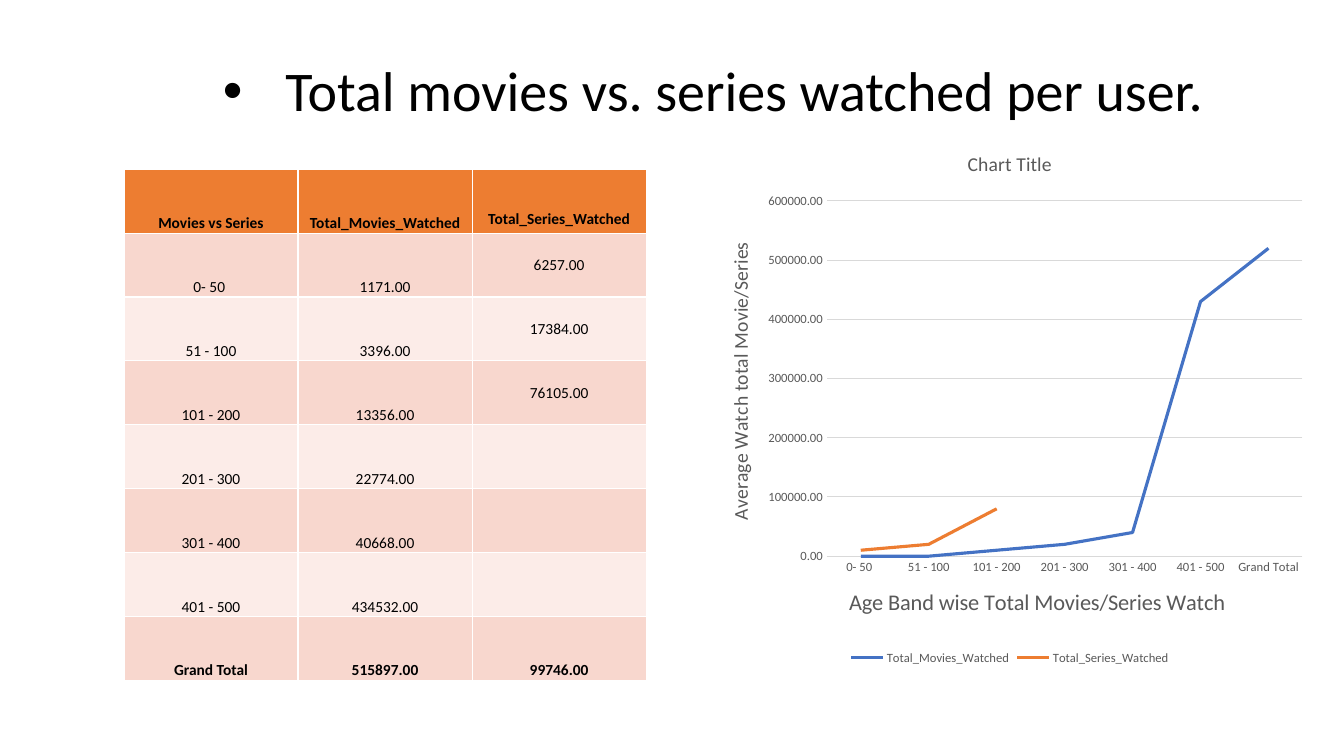
from lxml import etree
from pptx import Presentation
from pptx.chart.data import CategoryChartData
from pptx.dml.color import RGBColor
from pptx.enum.chart import XL_CHART_TYPE, XL_LEGEND_POSITION, XL_TICK_MARK
from pptx.enum.text import MSO_ANCHOR, PP_ALIGN
from pptx.oxml import parse_xml
from pptx.oxml.ns import nsdecls, qn
from pptx.util import Inches, Pt

LINE = XL_CHART_TYPE.LINE
LEGEND_BOTTOM = XL_LEGEND_POSITION.BOTTOM
NO_TICK = XL_TICK_MARK.NONE
CENTER = PP_ALIGN.CENTER
MIDDLE, BOTTOM = MSO_ANCHOR.MIDDLE, MSO_ANCHOR.BOTTOM

BLACK = RGBColor(0x00, 0x00, 0x00)
WHITE = RGBColor(0xFF, 0xFF, 0xFF)
GRAY = RGBColor(0x59, 0x59, 0x59)
GRID = RGBColor(0xD9, 0xD9, 0xD9)
BLUE = RGBColor(0x44, 0x72, 0xC4)
ORANGE = RGBColor(0xED, 0x7D, 0x31)
BAND_DARK = RGBColor(0xF8, 0xD7, 0xCE)
BAND_LIGHT = RGBColor(0xFC, 0xEC, 0xE8)

HEADERS = ("Movies vs Series", "Total_Movies_Watched", "Total_Series_Watched")
ROWS = (
    ("0- 50 ", 1171, 6257),
    ("51 - 100", 3396, 17384),
    ("101 - 200", 13356, 76105),
    ("201 - 300", 22774, None),
    ("301 - 400", 40668, None),
    ("401 - 500", 434532, None),
    ("Grand Total", 515897, 99746),
)


def style_font(font, size, color=BLACK, bold=False):
    font.name, font.size, font.bold = "Calibri", Pt(size), bold
    font.color.rgb = color


def write_text(tf, text, size, color=BLACK, bold=False):
    p = tf.paragraphs[0]
    p.alignment = CENTER
    r = p.add_run()
    r.text = text
    style_font(r.font, size, color, bold)
    return p


class SlideBuilder:
    """Holds the slide and its text sizes, and adds each kind of element."""

    def __init__(self, prs, table_size=11, label_size=9):
        self.s = prs.slides.add_slide(prs.slide_layouts[5])
        self.table_size = table_size
        self.label_size = label_size

    def title(self, text, left, top, width, height):
        sp = self.s.shapes.title
        sp.left, sp.top = Inches(left), Inches(top)
        sp.width, sp.height = Inches(width), Inches(height)
        tf = sp.text_frame
        tf.word_wrap, tf.vertical_anchor = True, MIDDLE
        p = write_text(tf, text, 40)
        p.line_spacing = 0.9
        pPr = p._p.get_or_add_pPr()
        pPr.set("marL", str(Inches(0.62)))
        pPr.set("indent", str(Inches(-0.62)))
        etree.SubElement(pPr, qn("a:buFont")).set("typeface", "Arial")
        etree.SubElement(pPr, qn("a:buChar")).set("char", "•")

    def borders(self, cell):
        tcPr = cell._tc.get_or_add_tcPr()
        for i, side in enumerate("LRTB"):
            tcPr.insert(i, parse_xml(
                f'<a:ln{side} {nsdecls("a")} w="{Pt(1)}"><a:solidFill>'
                f'<a:srgbClr val="{WHITE}"/></a:solidFill></a:ln{side}>'))

    def cell(self, cell, text, fill, bold=False, anchor=BOTTOM):
        cell.fill.solid()
        cell.fill.fore_color.rgb = fill
        cell.margin_left = cell.margin_right = cell.margin_top = Inches(0.01)
        cell.margin_bottom = 0
        cell.vertical_anchor = anchor
        self.borders(cell)
        if text:
            write_text(cell.text_frame, text, self.table_size, bold=bold)

    def table(self, headers, rows, left, top, width, height):
        count = len(rows) + 1
        table = self.s.shapes.add_table(
            count, len(headers), Inches(left), Inches(top),
            Inches(width), Inches(height)).table
        for row in table.rows:
            row.height = Inches(height / count)
        for c, text in enumerate(headers):
            self.cell(table.cell(0, c), text, ORANGE, bold=True)
        table.cell(0, len(headers) - 1).margin_bottom = Inches(0.04)
        for r, (band, *values) in enumerate(rows, 1):
            fill = BAND_DARK if r % 2 else BAND_LIGHT
            last = r == len(rows)
            texts = [band] + ["" if v is None else f"{v:.2f}" for v in values]
            for c, text in enumerate(texts):
                anchor = MIDDLE if c == 2 and not last else BOTTOM
                self.cell(table.cell(r, c), text, fill, bold=last, anchor=anchor)

    def layout(self, parent, x, y, w=None, h=None):
        target = '<c:layoutTarget val="inner"/>' if w else ""
        modes = '<c:xMode val="edge"/><c:yMode val="edge"/>'
        values = "".join(f'<c:{k} val="{v}"/>' for k, v in
                         zip("xywh", (x, y, w, h)) if v is not None)
        old = parent.find(qn("c:layout"))
        if old is not None:
            parent.remove(old)
        tx = parent.find(qn("c:tx"))
        index = 0 if tx is None else parent.index(tx) + 1
        parent.insert(index, parse_xml(
            f'<c:layout {nsdecls("c")}><c:manualLayout>{target}{modes}{values}'
            '</c:manualLayout></c:layout>'))

    def axis(self, axis, title, size, x, y):
        axis.major_tick_mark = axis.minor_tick_mark = NO_TICK
        style_font(axis.tick_labels.font, self.label_size, GRAY)
        write_text(axis.axis_title.text_frame, title, size, GRAY)
        self.layout(axis.axis_title._element, x, y)

    def chart(self, names, rows, left, top, width, height):
        bands, *columns = zip(*rows)
        data = CategoryChartData(number_format="0.00")
        data.categories = bands
        for name, values in zip(names, columns):
            data.add_series(
                name, [None if v is None else round(v, -4) for v in values])
        chart = self.s.shapes.add_chart(
            LINE, Inches(left), Inches(top), Inches(width), Inches(height),
            data).chart
        style_font(chart.font, 10)
        chart.has_title = True
        write_text(chart.chart_title.text_frame, "Chart Title", 14, GRAY)
        chart.chart_title.include_in_layout = False
        chart.has_legend = True
        chart.legend.position = LEGEND_BOTTOM
        chart.legend.include_in_layout = False
        style_font(chart.legend.font, self.label_size, GRAY)
        plot = chart.plots[0]
        plot.vary_by_categories = False
        for series, color in zip(plot.series, (BLUE, ORANGE)):
            series.smooth = False
            series.format.line.color.rgb = color
            series.format.line.width = Pt(2.25)
        self.axis(chart.category_axis,
                  "Age Band wise Total Movies/Series Watch", 16, 0.23, 0.84)
        self.axis(chart.value_axis,
                  "Average Watch total Movie/Series", 14, 0.03, 0.2)
        value_axis = chart.value_axis
        value_axis.minimum_scale, value_axis.maximum_scale = 0, 600000
        value_axis.major_unit = 100000
        value_axis.tick_labels.number_format = "0.00"
        value_axis.tick_labels.number_format_is_linked = False
        value_axis.format.line.fill.background()
        for line in (chart.category_axis.format.line,
                     value_axis.major_gridlines.format.line):
            line.color.rgb, line.width = GRID, Pt(0.75)
        plot_area = chart._chartSpace.chart.plotArea
        self.layout(plot_area, 0.2, 0.13, 0.78, 0.66)


def main():
    prs = Presentation()
    prs.slide_width, prs.slide_height = Inches(13.33), Inches(7.5)
    slide = SlideBuilder(prs)
    slide.title("Total movies vs. series watched per user. ",
                1.88, 0.15, 10.51, 1.55)
    slide.table(HEADERS, ROWS, 1.23, 1.68, 5.18, 5.07)
    slide.chart(HEADERS[1:], ROWS, 6.99, 1.3, 6.05, 5.34)
    prs.save("out.pptx")


if __name__ == "__main__":
    main()
